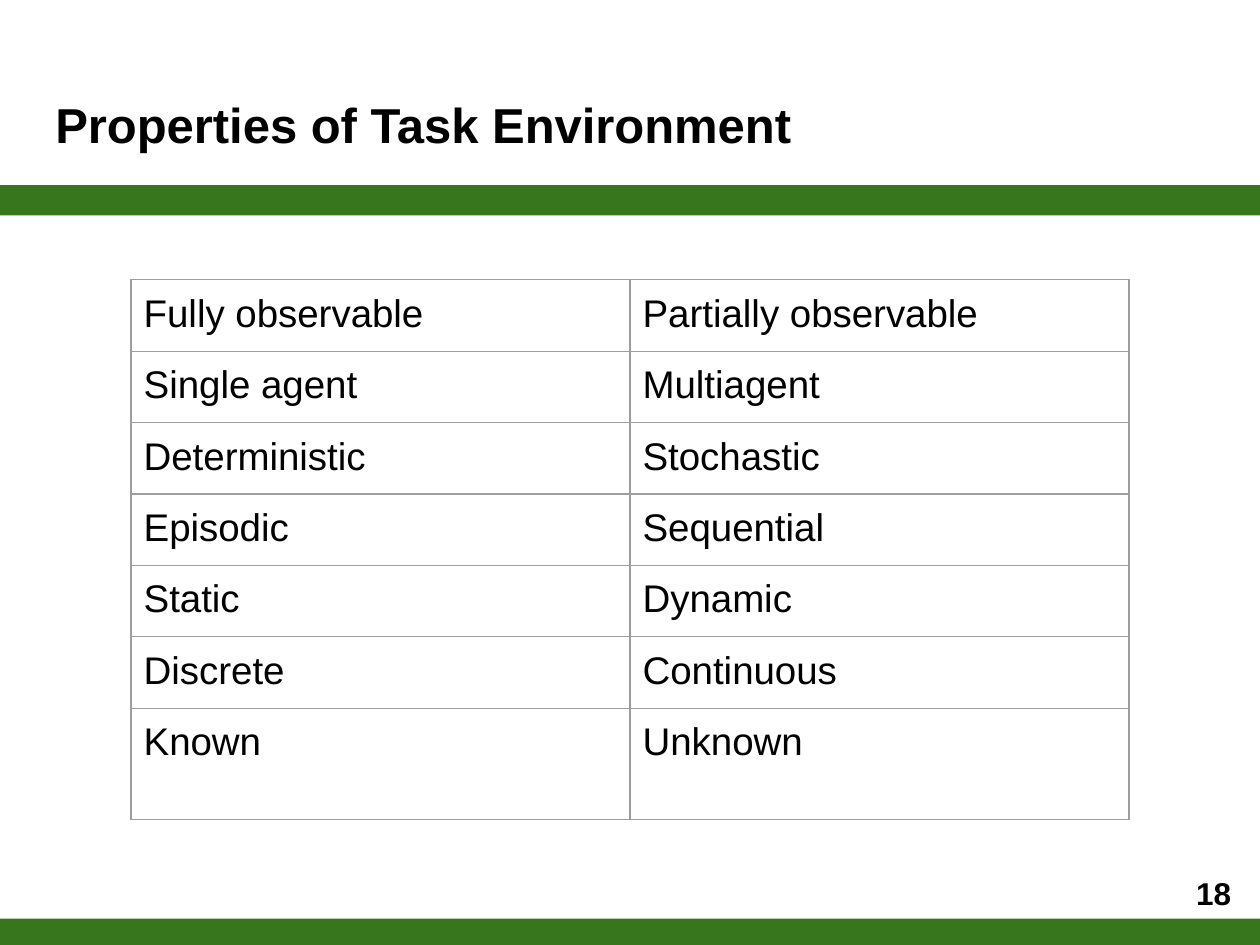
from lxml.etree import SubElement
from pptx import Presentation
from pptx.dml.color import RGBColor
from pptx.enum.shapes import MSO_SHAPE
from pptx.enum.text import MSO_ANCHOR, PP_ALIGN
from pptx.oxml.ns import qn
from pptx.util import Inches, Pt

# Content
TITLE = "Properties of Task Environment"
PAGE_NUMBER = "18"
PROPERTIES = [
    ("Fully observable", "Partially observable"),
    ("Single agent", "Multiagent"),
    ("Deterministic", "Stochastic"),
    ("Episodic", "Sequential"),
    ("Static", "Dynamic"),
    ("Discrete", "Continuous"),
    ("Known", "Unknown"),
]

# Style
FONT = "Arial"
GREEN = RGBColor(0x38, 0x76, 0x1D)
BLACK = RGBColor(0x00, 0x00, 0x00)
GRAY = RGBColor(0x9E, 0x9E, 0x9E)
MARGIN = Inches(0.1)

# Layout in inches
BANDS = [(1.47, 0.24), (7.29, 0.21)]
TABLE_LEFT, TABLE_TOP, COLUMN_WIDTH = 1.04, 2.22, 3.96
ROW_HEIGHT, LAST_ROW_HEIGHT = 0.54, 0.88


def set_margins(target):
    target.margin_left = target.margin_right = MARGIN
    target.margin_top = target.margin_bottom = MARGIN


def write(frame, text, size, bold=False, align=PP_ALIGN.LEFT):
    frame.text = text
    para = frame.paragraphs[0]
    para.alignment = align
    font = para.runs[0].font
    font.name, font.size, font.bold = FONT, Pt(size), bold
    font.color.rgb = BLACK


def add_text(page, area, text, size, anchor, align):
    box = page.shapes.add_textbox(*map(Inches, area))
    frame = box.text_frame
    frame.word_wrap = True
    frame.vertical_anchor = anchor
    set_margins(frame)
    write(frame, text, size, True, align)


def add_borders(cell):
    properties = cell._tc.get_or_add_tcPr()
    for side in ("a:lnL", "a:lnR", "a:lnT", "a:lnB"):
        line = SubElement(properties, qn(side), w=str(Pt(0.75)))
        fill = SubElement(line, qn("a:solidFill"))
        SubElement(fill, qn("a:srgbClr"), val=str(GRAY))


def add_property_table(page):
    heights = [ROW_HEIGHT] * (len(PROPERTIES) - 1) + [LAST_ROW_HEIGHT]
    columns = len(PROPERTIES[0])
    area = (TABLE_LEFT, TABLE_TOP, columns * COLUMN_WIDTH, sum(heights))
    table = page.shapes.add_table(len(PROPERTIES), columns, *map(Inches, area)).table
    table.first_row = table.horz_banding = False
    for row, height, texts in zip(table.rows, heights, PROPERTIES):
        row.height = Inches(height)
        for cell, text in zip(row.cells, texts):
            set_margins(cell)
            write(cell.text_frame, text, 22)
            add_borders(cell)
            cell.fill.background()


deck = Presentation()
deck.slide_width, deck.slide_height = Inches(10), Inches(7.5)
page = deck.slides.add_slide(deck.slide_layouts[6])

# Green bands
for top, height in BANDS:
    band = page.shapes.add_shape(
        MSO_SHAPE.RECTANGLE, 0, Inches(top), deck.slide_width, Inches(height))
    band.shadow.inherit = False
    band.fill.solid()
    band.fill.fore_color.rgb = GREEN
    band.line.fill.background()

# Title, page number and table
add_text(page, (0.34, 0.65, 9.32, 0.83), TITLE, 28, MSO_ANCHOR.TOP, PP_ALIGN.LEFT)
add_text(page, (9.27, 6.8, 0.6, 0.57), PAGE_NUMBER, 18, MSO_ANCHOR.MIDDLE, PP_ALIGN.RIGHT)
add_property_table(page)

deck.save("out.pptx")
